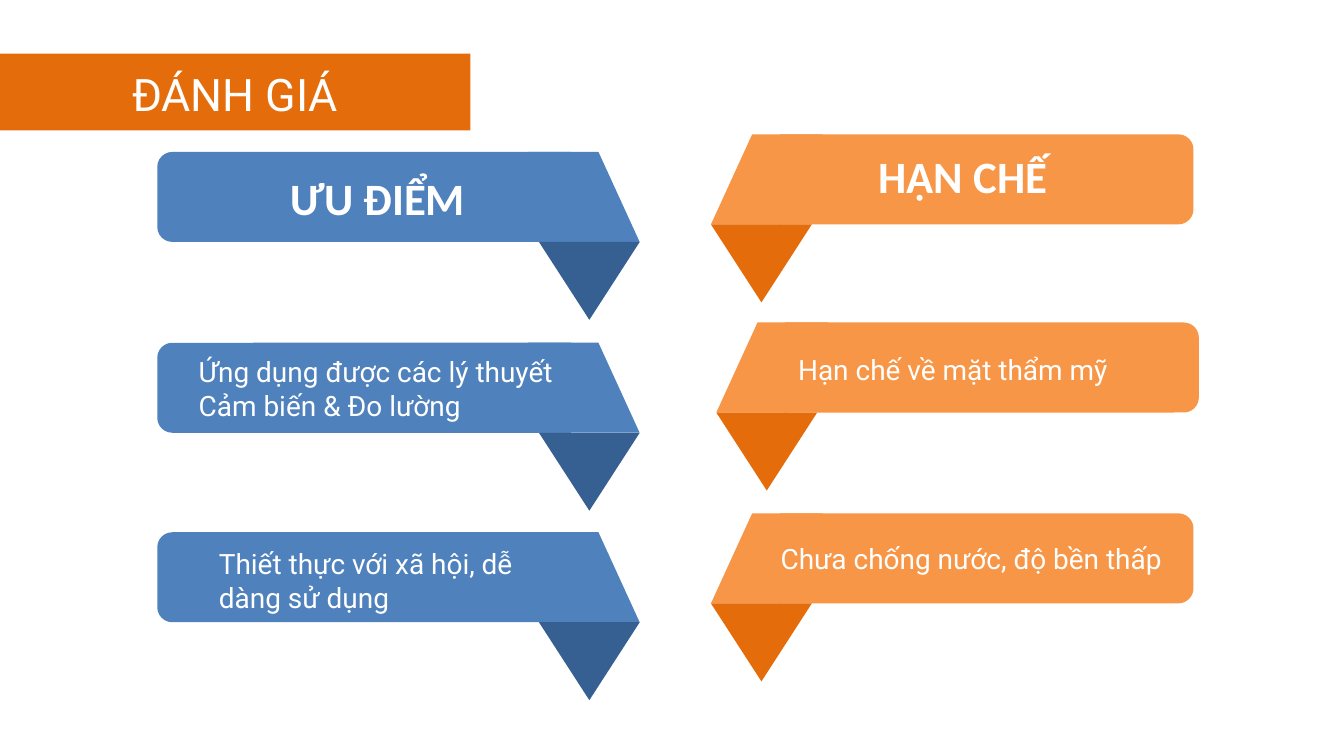
from pptx import Presentation
from pptx.dml.color import RGBColor
from pptx.enum.shapes import MSO_SHAPE as Preset
from pptx.enum.text import PP_ALIGN as Align
from pptx.oxml.ns import qn
from pptx.util import Pt

EMU_PER_PX = 9144  # 100 px to the inch
SLIDE_W = 1000
SLIDE_H = SLIDE_W * 9 / 16
WHITE = RGBColor(0xFF, 0xFF, 0xFF)
BLUE = RGBColor(0x4F, 0x81, 0xBD)
DARK_BLUE = RGBColor(0x37, 0x60, 0x92)
ORANGE = RGBColor(0xF7, 0x96, 0x46)
DARK_ORANGE = RGBColor(0xE4, 0x6C, 0x0A)

HEADING = dict(size=24, font="Calibri", bold=True)
POINT = dict(size=15, font="Roboto")

TITLE = ("ĐÁNH GIÁ", (0, 45, 350, 50), dict(size=24, font="Roboto", align=Align.CENTER))

# Each ribbon: left, top, then its label as text, box and style.
PROS = [
    (117, 113, ("ƯU ĐIỂM", (206, 122, 273, 50), HEADING)),
    (117, 255, ("Ứng dụng được các lý thuyết Cảm biến & Đo lường",
                (138, 259, 301, 61), POINT)),
    (117, 396, ("Thiết thực với xã hội, dễ dàng sử dụng",
                (153, 402, 261, 61), POINT)),
]
CONS = [
    (529, 100, ("HẠN CHẾ", (586, 106, 261, 50), dict(HEADING, align=Align.CENTER))),
    (533, 240, ("Hạn chế về mặt thẩm mỹ", (584, 257, 317, 35), POINT)),
    (529, 382, ("Chưa chống nước, độ bền thấp", (571, 398, 317, 35), POINT)),
]

RIBBON_W, RIBBON_H = 359, 67
BAR_W, SLANT_W = 308, 83
FOLD_W, FOLD_H = 75, 58


def px(*lengths):
    return [round(length * EMU_PER_PX) for length in lengths]


def add_filled(shapes, preset, box, color, rotation=0, adjustments=()):
    shape = shapes.add_shape(preset, *px(*box))
    shape.shadow.inherit = False
    shape.fill.solid()
    shape.fill.fore_color.rgb = color
    shape.line.fill.background()
    shape.rotation = rotation
    for index, value in enumerate(adjustments):
        shape.adjustments[index] = value
    return shape


def add_label(text, box, style):
    label = slide.shapes.add_textbox(*px(*box))
    label.text_frame.word_wrap = True
    paragraph = label.text_frame.paragraphs[0]
    paragraph.text = text
    paragraph.alignment = style.get("align", Align.LEFT)
    font = paragraph.font
    font.name, font.size = style["font"], Pt(style["size"])
    font.bold = style.get("bold", False)
    font.color.rgb = WHITE


def add_ribbon(left, top, color, fold_color, points_right):
    """Bar with one slanted end and a folded tip below that end."""
    shapes = slide.shapes.add_group_shape().shapes

    def part_left(width, at_tip):
        return left + (RIBBON_W - width if at_tip == points_right else 0)

    # The bar is an upright shape turned on its side about its centre.
    turn = (BAR_W - RIBBON_H) / 2
    add_filled(shapes, Preset.ROUND_2_SAME_RECTANGLE,
               (part_left(BAR_W, False) + turn, top - turn, RIBBON_H, BAR_W),
               color, 270 if points_right else 90, (0.167, 0))
    slant = add_filled(shapes, Preset.PARALLELOGRAM,
                       (part_left(SLANT_W, True), top, SLANT_W, RIBBON_H),
                       color, adjustments=(0.458,))
    if points_right:
        slant.element.spPr.find(qn("a:xfrm")).set("flipH", "1")
    add_filled(shapes, Preset.ISOSCELES_TRIANGLE,
               (part_left(FOLD_W, True), top + RIBBON_H, FOLD_W, FOLD_H),
               fold_color, 180)


prs = Presentation()
prs.slide_width, prs.slide_height = px(SLIDE_W, SLIDE_H)
slide = prs.slides.add_slide(prs.slide_layouts[6])

add_filled(slide.shapes, Preset.RECTANGLE, (0, 40, 350, 57), DARK_ORANGE)
add_label(*TITLE)
for ribbons, color, fold_color, points_right in (
    (PROS, BLUE, DARK_BLUE, True),
    (CONS, ORANGE, DARK_ORANGE, False),
):
    for left, top, label in ribbons:
        add_ribbon(left, top, color, fold_color, points_right)
        add_label(*label)

prs.save("out.pptx")
